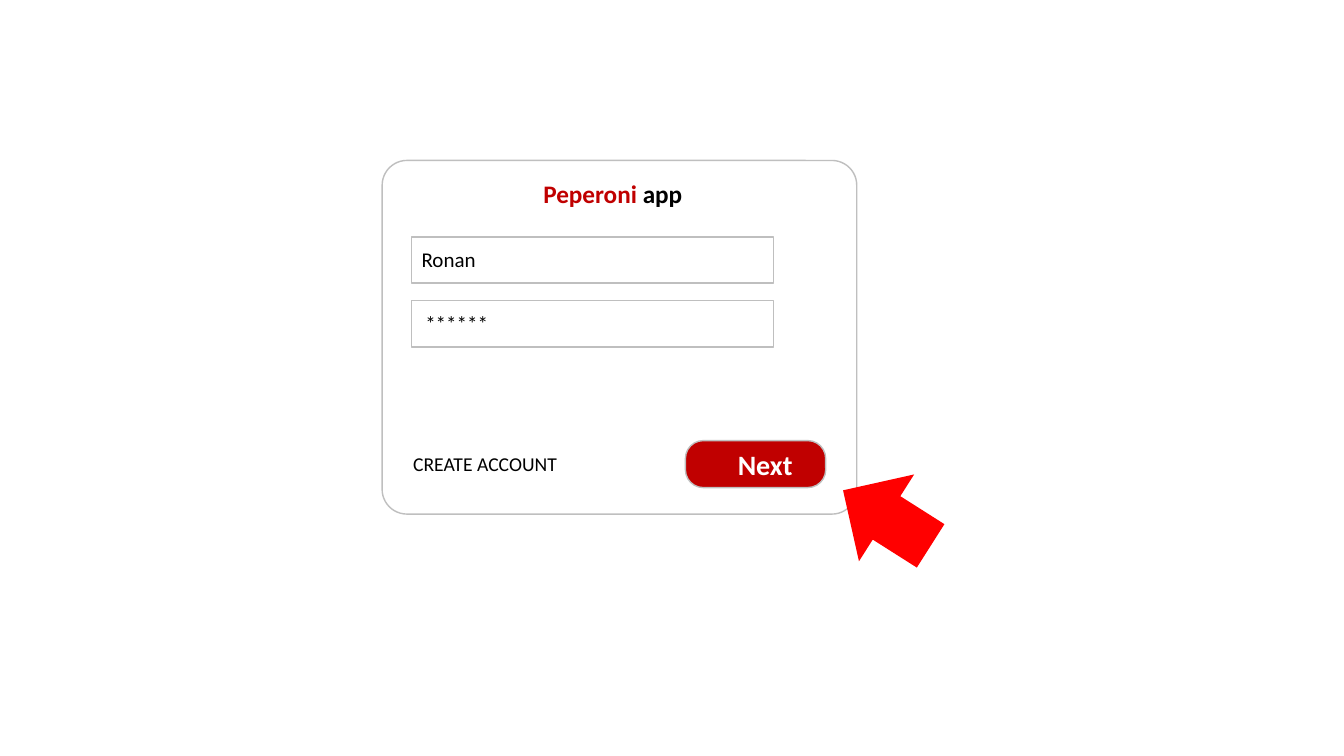
import pptx
import pptx.util
import pptx.dml.color
import pptx.enum.shapes
import pptx.enum.text

COLORS = {
    "outline": "BFBFBF",
    "brand": "C00000",
    "pointer": "FF0000",
    "ink": "000000",
    "paper": "FFFFFF",
}
FONT = "Calibri"
COLUMNS, ROWS = 160, 90
PRESETS = pptx.enum.shapes.MSO_SHAPE


def rgb(name):
    return pptx.dml.color.RGBColor.from_string(COLORS[name])


def add_run(paragraph, text, size=15, color="ink", bold=False):
    run = paragraph.add_run()
    run.text = text
    run.font.name = FONT
    run.font.size = pptx.util.Pt(size)
    run.font.bold = bold
    run.font.color.rgb = rgb(color)


class LoginSlide:
    def __init__(self, deck):
        self.slide = deck.slides.add_slide(deck.slide_layouts[6])
        self.column = deck.slide_width / COLUMNS
        self.row = deck.slide_height / ROWS

    def place(self, left, top, width, height):
        return (round(left * self.column), round(top * self.row),
                round(width * self.column), round(height * self.row))

    def shape(self, preset, area, fill=None, line=None, corner=None, rotation=0):
        shape = self.slide.shapes.add_shape(preset, *self.place(*area))
        shape.shadow.inherit = False
        shape.rotation = rotation
        if corner is not None:
            shape.adjustments[0] = corner
        if fill:
            shape.fill.solid()
            shape.fill.fore_color.rgb = rgb(fill)
        else:
            shape.fill.background()
        if line:
            shape.line.color.rgb = rgb(line)
            shape.line.width = pptx.util.Pt(1)
        else:
            shape.line.fill.background()

    def label(self, area, *parts, wrap=True):
        frame = self.slide.shapes.add_textbox(*self.place(*area)).text_frame
        frame.word_wrap = wrap
        frame.auto_size = pptx.enum.text.MSO_AUTO_SIZE.SHAPE_TO_FIT_TEXT
        for text, style in parts:
            add_run(frame.paragraphs[0], text, **style)

    def field(self, top, entry, entry_left, entry_top):
        self.label((entry_left, entry_top, 37.6, 4.2), (entry, {}))
        self.shape(PRESETS.RECTANGLE, (49, top, 43.1, 5.5), line="outline")


def main():
    deck = pptx.Presentation()
    deck.slide_width = pptx.util.Inches(13.33)
    deck.slide_height = pptx.util.Inches(7.5)
    login = LoginSlide(deck)

    login.shape(PRESETS.ROUNDED_RECTANGLE, (45.5, 19.1, 56.5, 42.1),
                line="outline", corner=0.07)
    login.label((48, 53.2, 19.7, 4.1), ("CREATE ACCOUNT", {"size": 14}), wrap=False)
    login.label((63.5, 20.6, 20.8, 4.8),
                ("Peperoni", {"size": 18, "color": "brand", "bold": True}),
                (" app", {"size": 18, "bold": True}))

    login.field(35.8, "******", 49.45, 36.4)
    login.field(28.2, "Ronan", 49, 28.7)

    login.shape(PRESETS.ROUNDED_RECTANGLE, (81.6, 52.45, 16.7, 5.6),
                fill="brand", line="outline", corner=0.38)
    login.label((86.65, 52.7, 9, 5.25),
                ("Next", {"size": 20, "color": "paper", "bold": True}), wrap=False)
    login.shape(PRESETS.RIGHT_ARROW, (99.4, 55.55, 12.35, 12.25),
                fill="pointer", rotation=212.4)

    deck.save("out.pptx")


if __name__ == "__main__":
    main()
